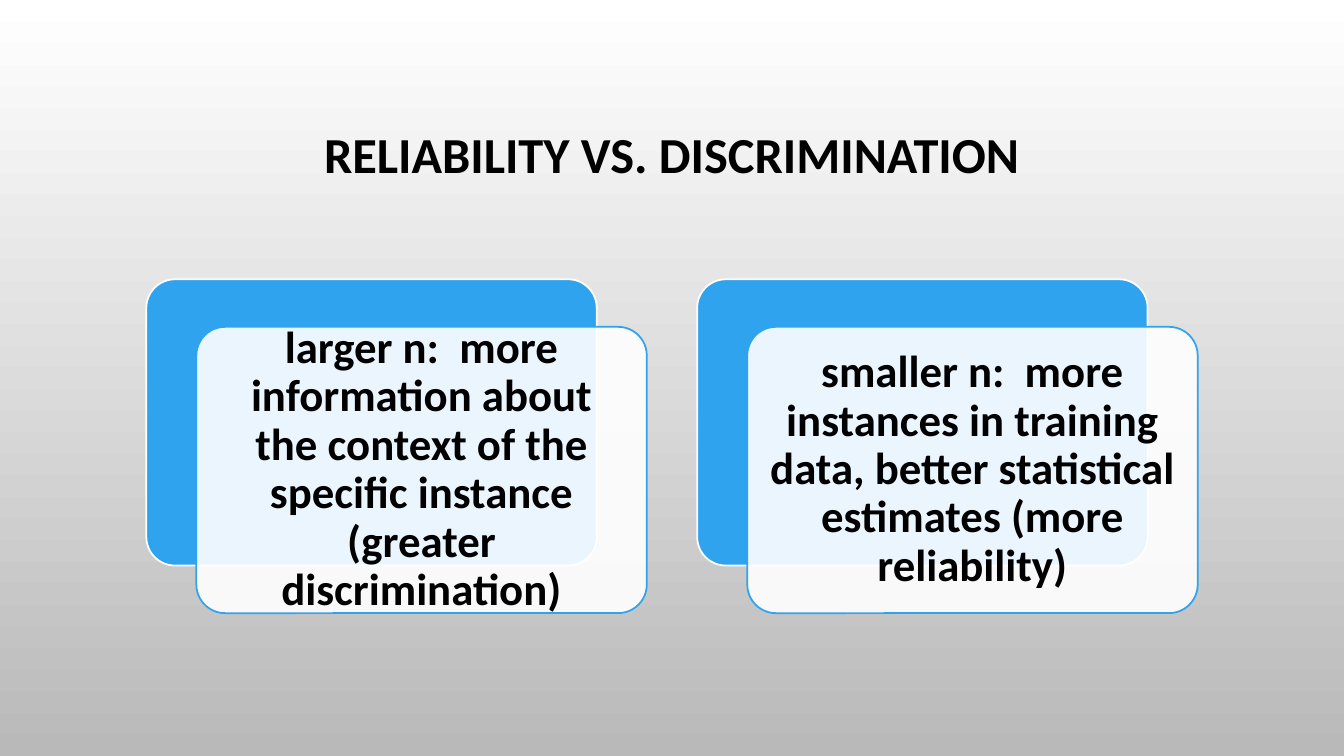
from lxml.etree import SubElement
from pptx import Presentation
from pptx.dml.color import RGBColor
from pptx.enum.shapes import MSO_SHAPE
from pptx.enum.text import MSO_ANCHOR, PP_ALIGN
from pptx.oxml.ns import qn
from pptx.util import Pt

BLUE, WHITE, BLACK = "2FA3EE", "FFFFFF", "000000"
CARDS = [
    "larger n:  more information about the context of the specific instance (greater discrimination)",
    "smaller n:  more instances in training data, better statistical estimates (more reliability)",
]


def paint(color, value):
    """Set a colour from a hex string."""
    color.rgb = RGBColor.from_string(value)


def write(shape, text, size):
    """Write one bold, centred paragraph into a shape."""
    frame = shape.text_frame
    frame.word_wrap = True
    frame.vertical_anchor = MSO_ANCHOR.MIDDLE
    para = frame.paragraphs[0]
    para.alignment = PP_ALIGN.CENTER
    para.line_spacing = 0.9
    run = para.add_run()
    run.text = text
    run.font.name = "Calibri"
    run.font.size = Pt(size)
    run.font.bold = True
    paint(run.font.color, BLACK)


def panel(slide, left, top, width, height, fill, line):
    """Add a rounded panel with a fill and an outline."""
    shape = slide.shapes.add_shape(
        MSO_SHAPE.ROUNDED_RECTANGLE, Pt(left), Pt(top), Pt(width), Pt(height))
    shape.adjustments[0] = 0.1
    shape.shadow.inherit = False
    shape.fill.solid()
    paint(shape.fill.fore_color, fill)
    paint(shape.line.color, line)
    shape.line.width = Pt(1.25)
    return shape


def card(slide, left, top, width, height, text):
    """Add a blue panel with a translucent text card over its lower right."""
    dx, dy = 35.75, 34
    wide, high = width - dx, height - dy
    panel(slide, left, top, wide, high, BLUE, WHITE)
    front = panel(slide, left + dx, top + dy, wide, high, WHITE, BLUE)
    tint = front.fill._xPr.find(qn("a:solidFill"))[0]
    SubElement(tint, qn("a:alpha"), val="90000")
    frame = front.text_frame
    frame.margin_left = frame.margin_right = Pt(9.6)
    frame.margin_top = frame.margin_bottom = Pt(9.6)
    write(front, text, 32)


def title(slide, left, top, width, height, text):
    """Add the slide title."""
    box = slide.shapes.add_textbox(Pt(left), Pt(top), Pt(width), Pt(height))
    write(box, text, 36)


def backdrop(slide):
    """Shade the background from white at the top to grey at the bottom."""
    fill = slide.background.fill
    fill.gradient()
    fill.gradient_angle = 270
    for stop, place, color in zip(fill.gradient_stops, (0, 1), (WHITE, "B9B9B9")):
        stop.position = place
        paint(stop.color, color)


def main():
    """Build and save the slide."""
    deck = Presentation()
    deck.slide_width, deck.slide_height = Pt(960), Pt(540)
    slide = deck.slides.add_slide(deck.slide_layouts[6])
    backdrop(slide)
    title(slide, 72, 49, 816, 126, "RELIABILITY VS. DISCRIMINATION")
    for col, text in enumerate(CARDS):
        card(slide, 104.5 + col * 393.5, 199.5, 357.5, 238.5, text)
    deck.save("out.pptx")


if __name__ == "__main__":
    main()
